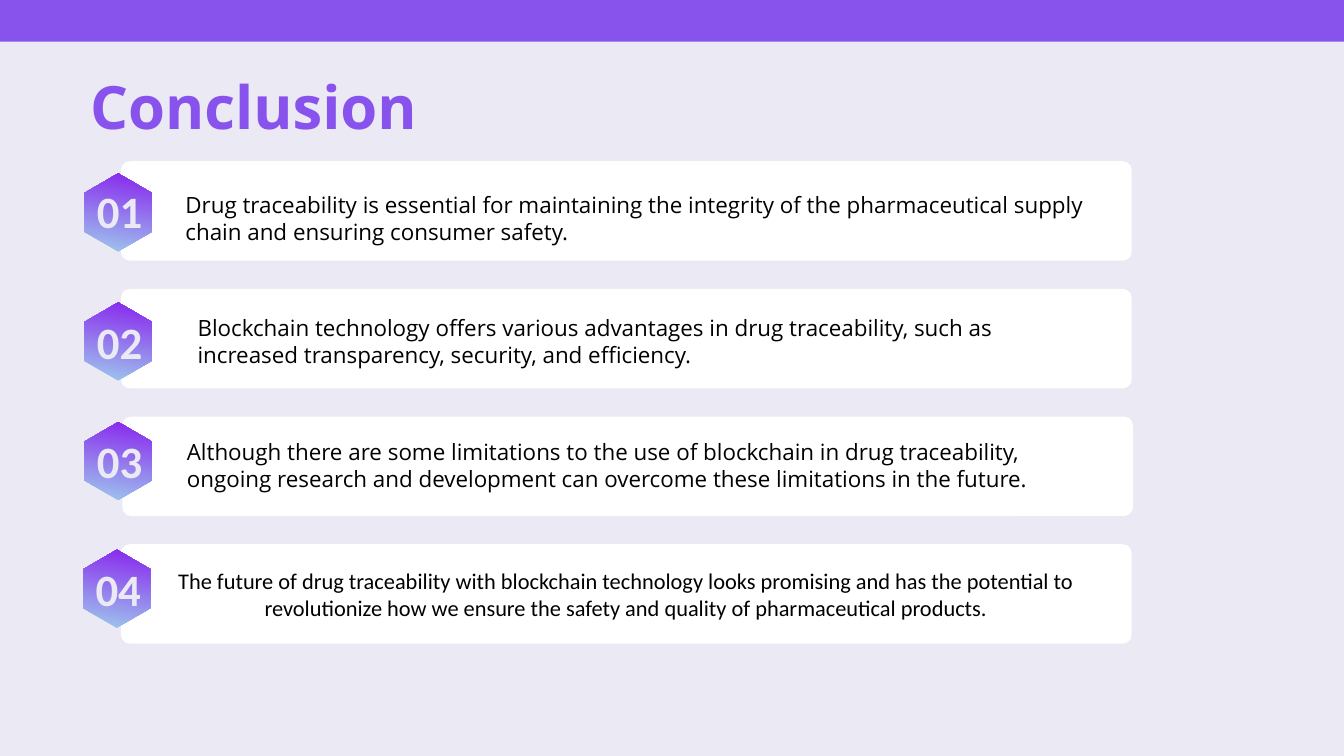
from pptx import Presentation
from pptx.dml.color import RGBColor
from pptx.enum.shapes import MSO_SHAPE
from pptx.enum.text import MSO_ANCHOR, PP_ALIGN
from pptx.util import Inches, Pt

PURPLE = RGBColor(0x88, 0x53, 0xED)
DEEP_PURPLE = RGBColor(0x88, 0x23, 0xED)
LIGHT_BLUE = RGBColor(0x9E, 0xCA, 0xED)
LAVENDER = RGBColor(0xEA, 0xE9, 0xF4)
WHITE = RGBColor(0xFF, 0xFF, 0xFF)
BLACK = RGBColor(0, 0, 0)
RECTANGLE, ROUNDED = MSO_SHAPE.RECTANGLE, MSO_SHAPE.ROUNDED_RECTANGLE
TOP, MIDDLE, BOTTOM = MSO_ANCHOR.TOP, MSO_ANCHOR.MIDDLE, MSO_ANCHOR.BOTTOM
LEFT, CENTER = PP_ALIGN.LEFT, PP_ALIGN.CENTER

# Slide in 16:9
prs = Presentation()
prs.slide_width = Inches(10)
prs.slide_height = Inches(10 * 9 / 16)
slide = prs.slides.add_slide(prs.slide_layouts[6])
slide.background.fill.solid()
slide.background.fill.fore_color.rgb = LAVENDER


def add_block(kind, x, y, w, h, color):
    block = slide.shapes.add_shape(kind, Inches(x), Inches(y), Inches(w), Inches(h))
    block.shadow.inherit = False
    block.fill.solid()
    block.fill.fore_color.rgb = color
    block.line.fill.background()
    return block


def write(shape, text, size, font, color, bold=False, align=LEFT, anchor=TOP, inset=0):
    frame = shape.text_frame
    frame.word_wrap = True
    frame.vertical_anchor = anchor
    frame.margin_left = frame.margin_right = Inches(inset)
    frame.margin_top = frame.margin_bottom = Inches(inset / 2)
    frame.text = text
    paragraph = frame.paragraphs[0]
    paragraph.alignment = align
    run_font = paragraph.runs[0].font
    run_font.size, run_font.name, run_font.bold = Pt(size), font, bold
    run_font.color.rgb = color


# Top band and title
add_block(RECTANGLE, 0, 0, 10, 0.31, PURPLE)
title = slide.shapes.add_textbox(Inches(0.67), Inches(0.23), Inches(3.62), Inches(0.82))
write(title, "Conclusion", 32, "Open Sans", PURPLE, bold=True, anchor=BOTTOM)

# Conclusions: card left, hexagon left and top, number top, text box (None: text in the card)
conclusions = [
    ("Drug traceability is essential for maintaining the integrity of the pharmaceutical "
     "supply chain and ensuring consumer safety.",
     0.9, 0.63, 1.29, 1.38, (1.38, 1.42, 6.86, 0.41)),
    ("Blockchain technology offers various advantages in drug traceability, such as "
     "increased transparency, security, and efficiency.",
     0.9, 0.63, 2.25, 2.35, (1.47, 2.34, 6.7, 0.41)),
    ("Although there are some limitations to the use of blockchain in drug traceability, "
     "ongoing research and development can overcome these limitations in the future.",
     0.91, 0.63, 3.14, 3.24, (1.39, 3.26, 6.78, 0.41)),
    ("The future of drug traceability with blockchain technology looks promising and has "
     "the potential to revolutionize how we ensure the safety and quality of "
     "pharmaceutical products.",
     0.9, 0.62, 4.09, 4.19, None),
]
CARD_TOP, CARD_STEP = 1.2, 0.95
HEX_W, HEX_H = 0.5, 0.58

for index, (text, card_x, hex_x, hex_y, number_y, text_box) in enumerate(conclusions):
    # White card
    card = add_block(ROUNDED, card_x, CARD_TOP + index * CARD_STEP, 7.52, 0.74, WHITE)
    card.adjustments[0] = 0.088

    # Gradient hexagon
    corners = [(1, 0.25), (0.5, 0), (0, 0.25), (0, 0.75), (0.5, 1), (1, 0.75)]
    points = [(Inches(hex_x + u * HEX_W), Inches(hex_y + v * HEX_H)) for u, v in corners]
    outline = slide.shapes.build_freeform(*points[0])
    outline.add_line_segments(points[1:], close=True)
    hexagon = outline.convert_to_shape()
    hexagon.shadow.inherit = False
    hexagon.line.fill.background()
    hexagon.fill.gradient()
    hexagon.fill.gradient_angle = 80
    for stop, color in zip(hexagon.fill.gradient_stops, (LIGHT_BLUE, DEEP_PURPLE)):
        stop.color.rgb = color

    # Number
    number = slide.shapes.add_textbox(
        Inches(hex_x + 0.04), Inches(number_y), Inches(0.44), Inches(0.38))
    write(number, f"{index + 1:02d}", 24, "Calibri", LAVENDER, True, CENTER, MIDDLE)

    # Statement
    if text_box:
        statement = slide.shapes.add_textbox(*(Inches(value) for value in text_box))
        write(statement, text, 12, "Open Sans", BLACK)
    else:
        write(card, text, 12, "Calibri", BLACK, False, CENTER, MIDDLE, 0.1)

prs.save("out.pptx")
